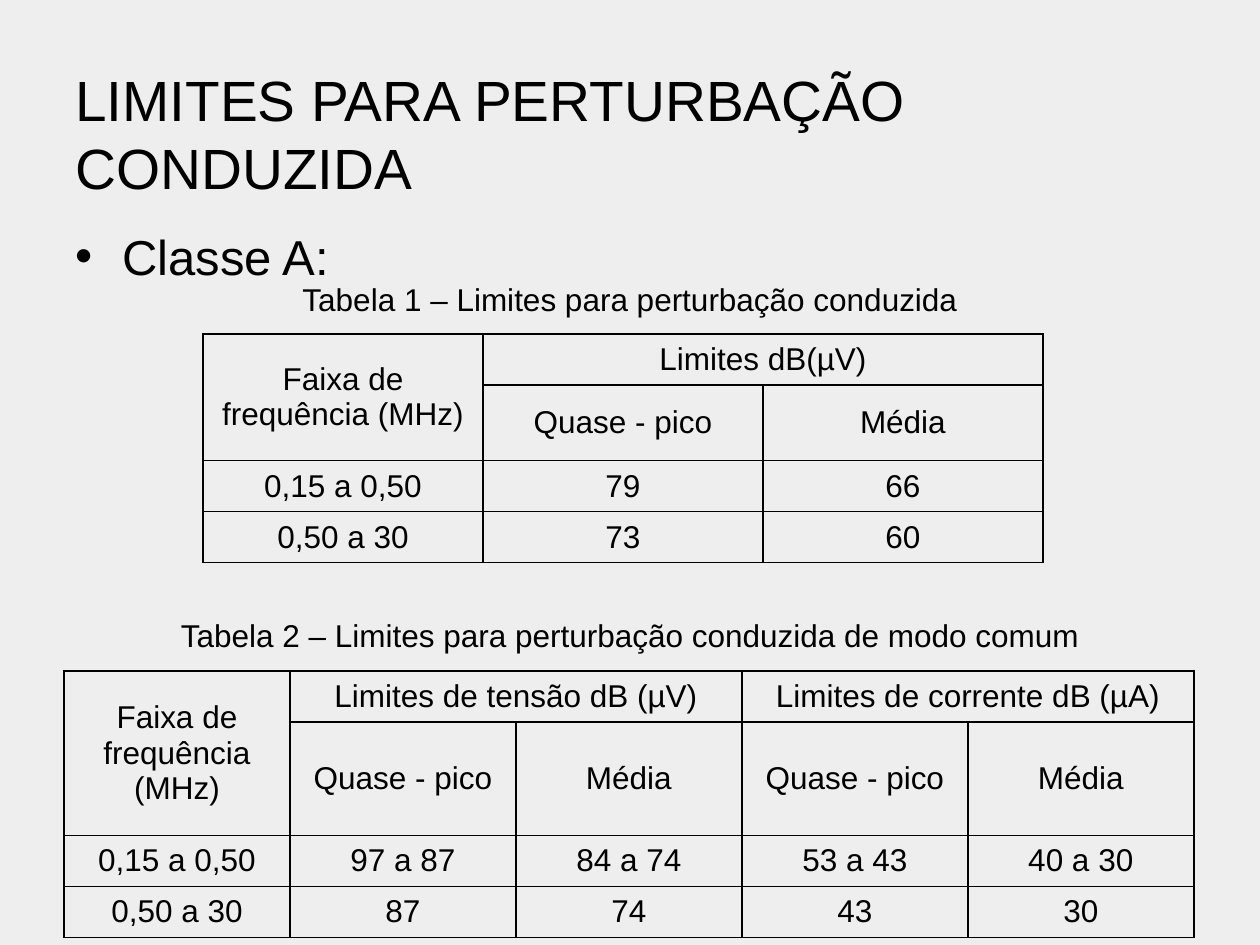
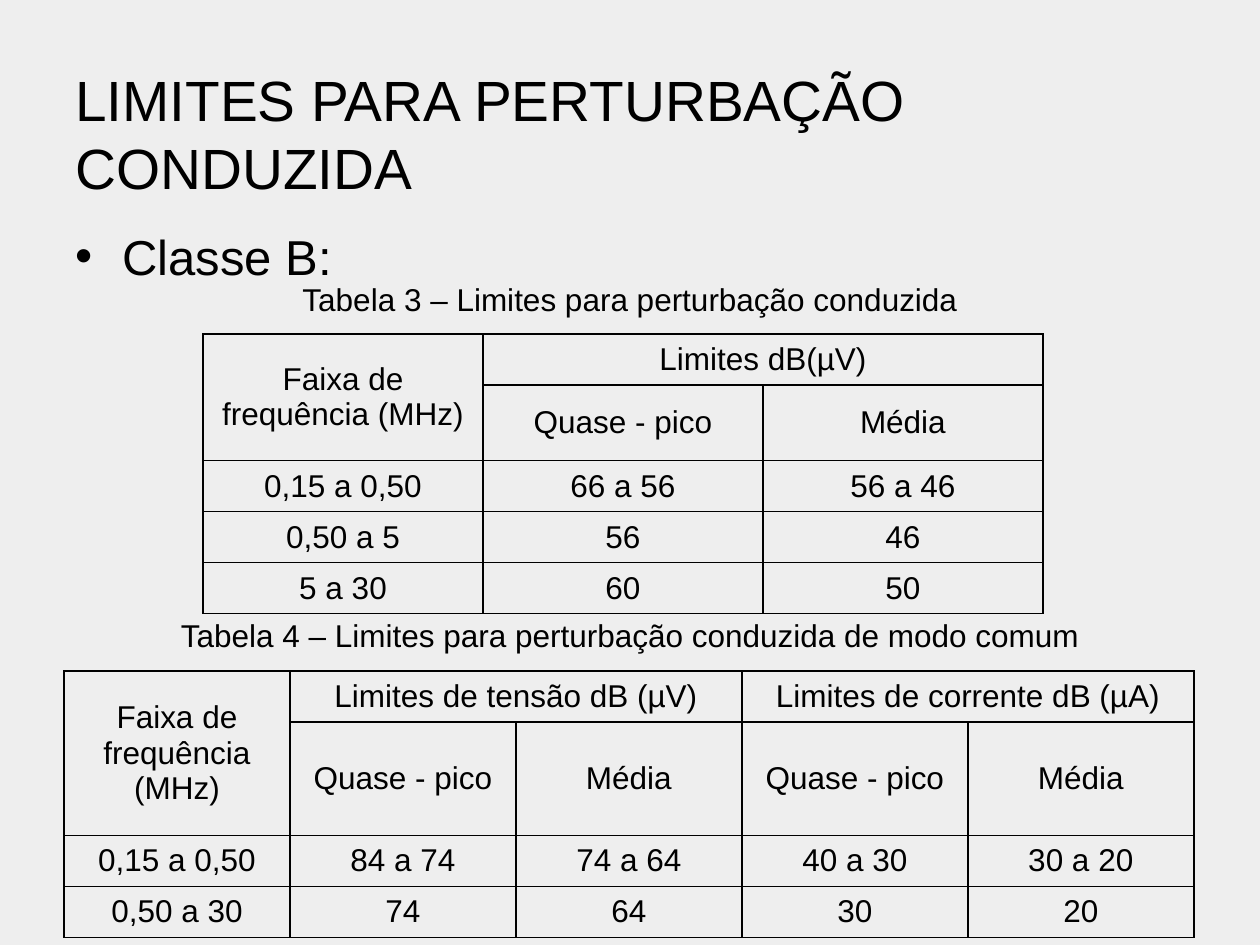
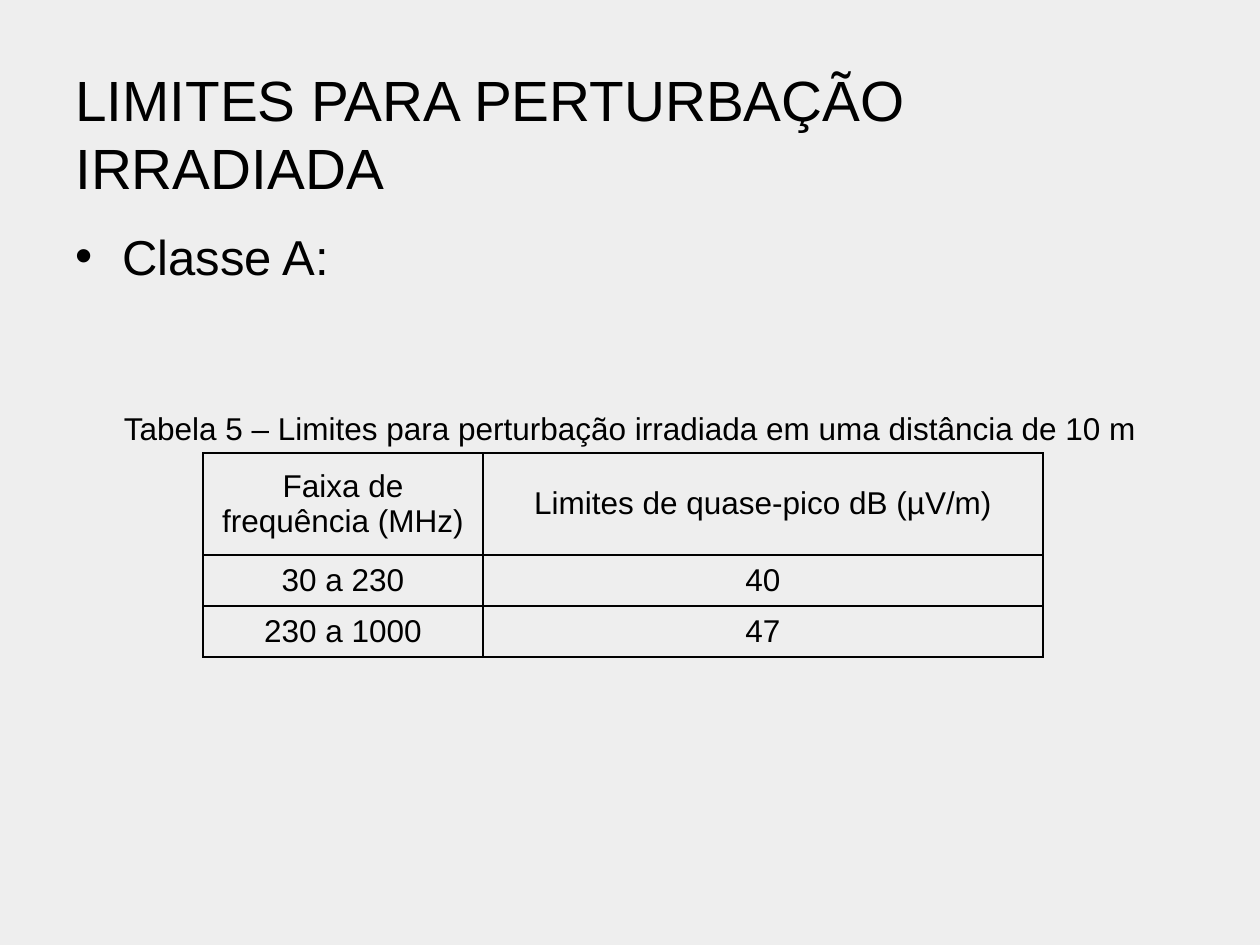
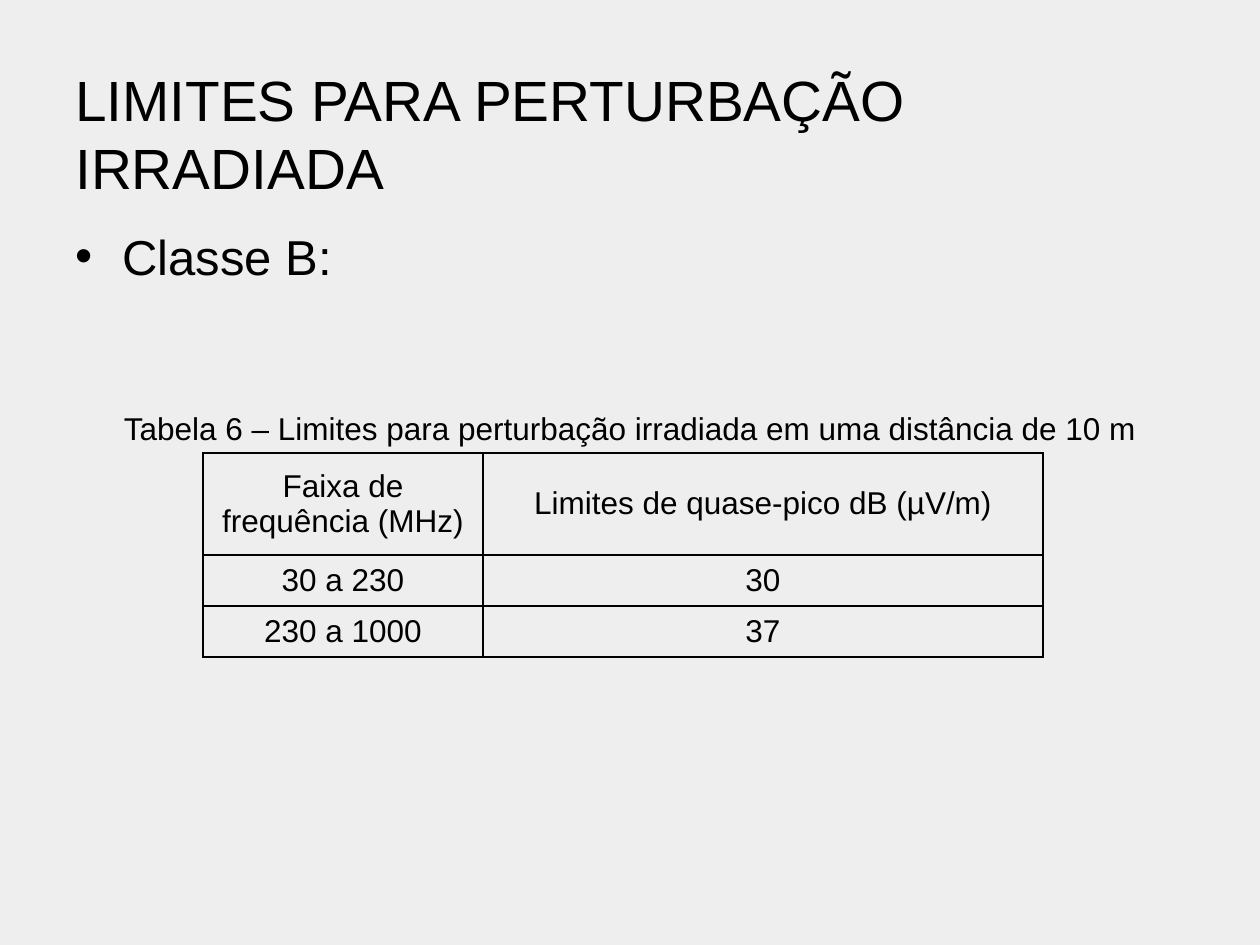
from lxml import etree
from pptx import Presentation, util as u
from pptx.dml.color import RGBColor
from pptx.enum import text
from pptx.oxml.ns import qn

EMU_PER_PX = 914400 / 126
FONT = "Arial"
INK = "000000"
BACKGROUND = "EEEEEE"

# Boxes: left, top, width, height
TITLE_BOX = (63, 49, 1134, 158)
CLASS_BOX = (63, 220, 1134, 624)
ROW_HEIGHT = 51
BULLET_INDENT = 47

FREQUENCY = "Faixa de frequência (MHz)"
PEAK, MEAN = "Quase - pico", "Média"

# Header rows, then merged areas as first and last (row, column)
SIMPLE_HEADER = [(FREQUENCY, "Limites dB(µV)", ""), ("", PEAK, MEAN)]
SIMPLE_MERGES = [((0, 0), (1, 0)), ((0, 1), (0, 2))]
COMMON_HEADER = [
    (FREQUENCY, "Limites de tensão dB (µV)", "", "Limites de corrente dB (µA)", ""),
    ("", PEAK, MEAN, PEAK, MEAN),
]
COMMON_MERGES = SIMPLE_MERGES + [((0, 3), (0, 4))]
RADIATED_HEADER = [(FREQUENCY, "Limites de quase-pico dB (µV/m)")]


def px(length):
    return u.Emu(round(length * EMU_PER_PX))


def color(hex_string):
    return RGBColor.from_string(hex_string)


def style(paragraph, size, align=text.PP_ALIGN.LEFT):
    paragraph.alignment = align
    paragraph.font.name = FONT
    paragraph.font.size = u.Pt(size)
    paragraph.font.color.rgb = color(INK)


def add_text(slide, box, words, size, align=text.PP_ALIGN.LEFT,
             anchor=text.MSO_ANCHOR.TOP):
    frame = slide.shapes.add_textbox(*map(px, box)).text_frame
    frame.word_wrap = True
    frame.vertical_anchor = anchor
    paragraph = frame.paragraphs[0]
    paragraph.text = words
    style(paragraph, size, align)
    return paragraph


def add_bullet(paragraph):
    properties = paragraph._p.get_or_add_pPr()
    properties.set("marL", str(px(BULLET_INDENT)))
    properties.set("indent", str(-px(BULLET_INDENT)))
    etree.SubElement(properties, qn("a:buFont"), typeface=FONT)
    etree.SubElement(properties, qn("a:buChar"), char="•")


def add_borders(cell):
    properties = cell._tc.get_or_add_tcPr()
    for side in ("lnL", "lnR", "lnT", "lnB"):
        line = etree.SubElement(properties, qn(f"a:{side}"), w=str(u.Pt(1)))
        fill = etree.SubElement(line, qn("a:solidFill"))
        etree.SubElement(fill, qn("a:srgbClr"), val=INK)


def add_limits_table(slide, box, widths, rows, merges=(), header_height=ROW_HEIGHT):
    shape = slide.shapes.add_table(len(rows), len(widths), *map(px, box))
    table = shape.table
    table.first_row = table.horz_banding = False
    for column, width in zip(table.columns, widths):
        column.width = px(width)
    for index, row in enumerate(table.rows):
        row.height = px(ROW_HEIGHT if index else header_height)
        for cell, words in zip(row.cells, rows[index]):
            cell.text = words
            cell.vertical_anchor = text.MSO_ANCHOR.MIDDLE
            style(cell.text_frame.paragraphs[0], 18, text.PP_ALIGN.CENTER)
            add_borders(cell)
            cell.fill.background()
    for first, last in merges:
        cell = table.cell(*first)
        cell.merge(table.cell(*last))
        # Cells over two rows need no padding, which would stretch the table
        if cell.span_height > 1:
            cell.margin_top = cell.margin_bottom = 0
    shape.height = px(box[3])


def add_caption(slide, top, words):
    add_text(slide, (0, top, 1260, 51), words, 18, text.PP_ALIGN.CENTER)


def add_base_slide(presentation, kind, class_name):
    slide = presentation.slides.add_slide(presentation.slide_layouts[6])
    slide.background.fill.solid()
    slide.background.fill.fore_color.rgb = color(BACKGROUND)
    add_bullet(add_text(slide, CLASS_BOX, f"Classe {class_name}:", 28))
    add_text(slide, TITLE_BOX, f"LIMITES PARA PERTURBAÇÃO {kind}", 32.4,
             anchor=text.MSO_ANCHOR.BOTTOM)
    return slide


def add_conducted_slide(presentation, class_name, number, simple_rows, common_rows):
    slide = add_base_slide(presentation, "CONDUZIDA", class_name)
    caption = "Limites para perturbação conduzida"
    # Simple limits
    rows = SIMPLE_HEADER + simple_rows
    add_limits_table(slide, (203, 334, 840, ROW_HEIGHT * len(rows)), [280] * 3,
                     rows, SIMPLE_MERGES)
    add_caption(slide, 274, f"Tabela {number} – {caption}")
    # Common mode limits
    add_caption(slide, 610, f"Tabela {number + 1} – {caption} de modo comum")
    add_limits_table(slide, (64, 671, 1130, 228), [226] * 5,
                     COMMON_HEADER + common_rows, COMMON_MERGES)


def add_radiated_slide(presentation, class_name, number, limits):
    slide = add_base_slide(presentation, "IRRADIADA", class_name)
    rows = RADIATED_HEADER + list(zip(("30 a 230", "230 a 1000"), limits))
    add_limits_table(slide, (203, 453, 840, 4 * ROW_HEIGHT), [280, 560], rows,
                     header_height=2 * ROW_HEIGHT)
    add_caption(slide, 403, f"Tabela {number} – Limites para perturbação irradiada "
                            "em uma distância de 10 m")


def main():
    presentation = Presentation()
    presentation.slide_width, presentation.slide_height = px(1260), px(945)
    add_conducted_slide(
        presentation, "A", 1,
        [("0,15 a 0,50", "79", "66"), ("0,50 a 30", "73", "60")],
        [("0,15 a 0,50", "97 a 87", "84 a 74", "53 a 43", "40 a 30"),
         ("0,50 a 30", "87", "74", "43", "30")])
    add_conducted_slide(
        presentation, "B", 3,
        [("0,15 a 0,50", "66 a 56", "56 a 46"), ("0,50 a 5", "56", "46"),
         ("5 a 30", "60", "50")],
        [("0,15 a 0,50", "84 a 74", "74 a 64", "40 a 30", "30 a 20"),
         ("0,50 a 30", "74", "64", "30", "20")])
    add_radiated_slide(presentation, "A", 5, ("40", "47"))
    add_radiated_slide(presentation, "B", 6, ("30", "37"))
    presentation.save("out.pptx")


if __name__ == "__main__":
    main()
